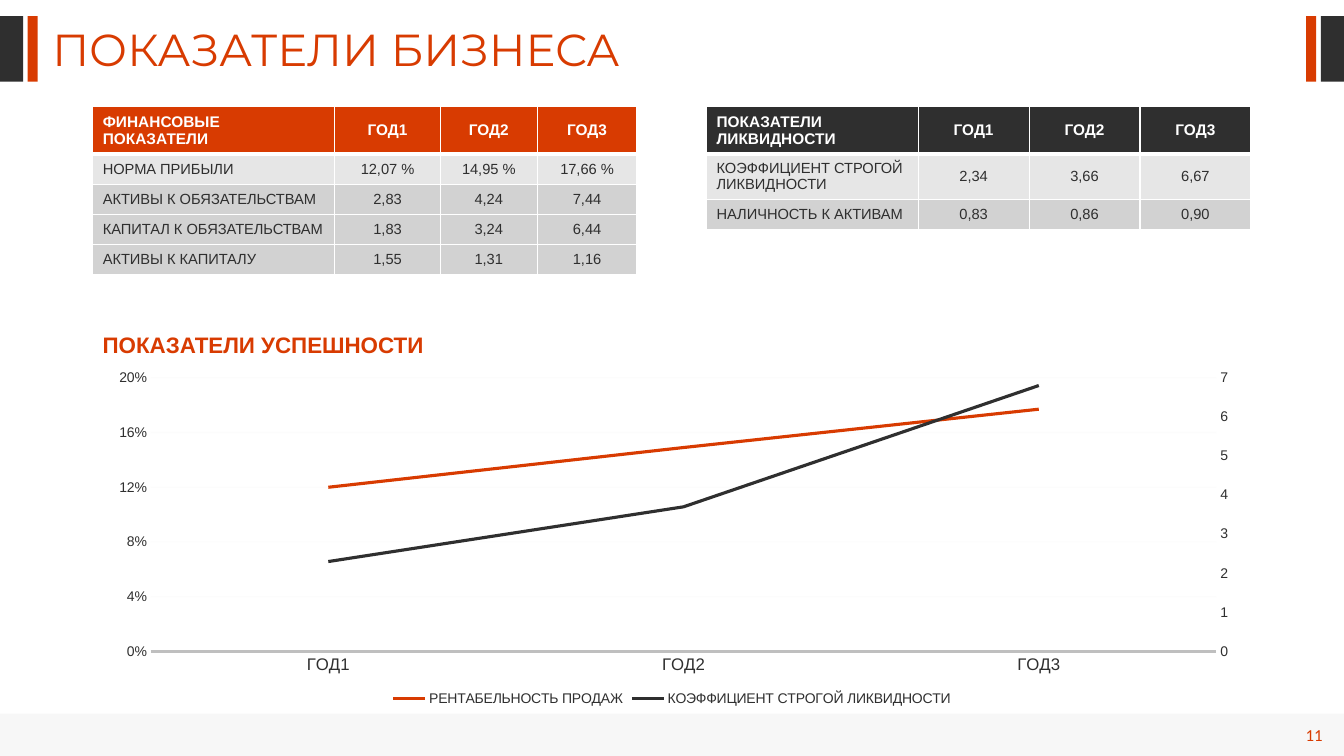
from copy import deepcopy

from lxml import etree
from pptx import Presentation
from pptx.chart.axis import CategoryAxis, ValueAxis
from pptx.chart.data import CategoryChartData
from pptx.dml.color import RGBColor
from pptx.enum.chart import XL_CHART_TYPE, XL_LEGEND_POSITION, XL_TICK_MARK
from pptx.enum.shapes import MSO_SHAPE
from pptx.enum.text import MSO_ANCHOR, PP_ALIGN
from pptx.oxml import parse_xml
from pptx.oxml.ns import nsdecls, qn
from pptx.util import Pt

ORANGE = RGBColor(0xD8, 0x3B, 0x01)
DARK = RGBColor(0x2F, 0x2F, 0x2F)
WHITE = RGBColor(0xFF, 0xFF, 0xFF)
LIGHT = RGBColor(0xE6, 0xE6, 0xE6)
MIDDLE = RGBColor(0xD2, 0xD2, 0xD2)
AXIS_GRAY = RGBColor(0xBF, 0xBF, 0xBF)
RECTANGLE = MSO_SHAPE.RECTANGLE
LINE_CHART = XL_CHART_TYPE.LINE
LEGEND_BOTTOM = XL_LEGEND_POSITION.BOTTOM
NO_TICKS = XL_TICK_MARK.NONE
MIDDLE_ANCHOR = MSO_ANCHOR.MIDDLE
LEFT, CENTER, RIGHT = PP_ALIGN.LEFT, PP_ALIGN.CENTER, PP_ALIGN.RIGHT

SLIDE_WIDTH, SLIDE_HEIGHT = 960, 540
MARGIN = 66.24
YEARS = ["ГОД1", "ГОД2", "ГОД3"]
FINANCE_ROWS = [
    ["ФИНАНСОВЫЕ ПОКАЗАТЕЛИ", *YEARS],
    ["НОРМА ПРИБЫЛИ", "12,07 %", "14,95 %", "17,66 %"],
    ["АКТИВЫ К ОБЯЗАТЕЛЬСТВАМ", "2,83", "4,24", "7,44"],
    ["КАПИТАЛ К ОБЯЗАТЕЛЬСТВАМ", "1,83", "3,24", "6,44"],
    ["АКТИВЫ К КАПИТАЛУ", "1,55", "1,31", "1,16"],
]
LIQUIDITY_ROWS = [
    ["ПОКАЗАТЕЛИ ЛИКВИДНОСТИ", *YEARS],
    ["КОЭФФИЦИЕНТ СТРОГОЙ ЛИКВИДНОСТИ", "2,34", "3,66", "6,67"],
    ["НАЛИЧНОСТЬ К АКТИВАМ", "0,83", "0,86", "0,90"],
]


def style_font(font, size, color, name="Arial", bold=False):
    font.size, font.name, font.bold = Pt(size), name, bold
    font.color.rgb = color


def add_opacity(element, percent):
    for color in element.iter(qn("a:srgbClr")):
        etree.SubElement(color, qn("a:alpha")).set("val", str(percent * 1000))


def add_bar(slide, left, top, width, height, color):
    bar = slide.shapes.add_shape(RECTANGLE, Pt(left), Pt(top), Pt(width), Pt(height))
    bar.shadow.inherit = False
    bar.fill.solid()
    bar.fill.fore_color.rgb = color
    bar.line.fill.background()
    return bar


def add_label(slide, left, top, width, height, text, size, name="Arial",
              bold=False, align=LEFT, wrap=True):
    label = slide.shapes.add_textbox(Pt(left), Pt(top), Pt(width), Pt(height))
    frame = label.text_frame
    frame.word_wrap = wrap
    frame.text = text
    paragraph = frame.paragraphs[0]
    paragraph.alignment = align
    style_font(paragraph.runs[0].font, size, ORANGE, name, bold)
    return frame


def add_header(slide, left, top, width, height):
    outer, gap, inner = 16.5, 3.3, 7.2
    right = left + width
    for bar_left, bar_width, color in [
        (left, outer, DARK),
        (left + outer + gap, inner, ORANGE),
        (right - outer - gap - inner, inner, ORANGE),
        (right - outer, outer, DARK),
    ]:
        add_bar(slide, bar_left, top, bar_width, height, color)
    title = add_label(slide, left + 30.24, top + 7.9, 480, 38.9,
                      "ПОКАЗАТЕЛИ БИЗНЕСА", 32, "Montserrat")
    title.paragraphs[0].line_spacing = 0.8


def add_footer(slide, left, top, width, height):
    footer = add_bar(slide, left, top, width, height, LIGHT)
    add_opacity(footer.fill._xPr, 30)
    number = add_label(slide, left + width - 70.8, top + 4.3, 62.6, 21.6,
                       "11", 12, "Calibri", align=RIGHT)
    number.vertical_anchor = MIDDLE_ANCHOR


def set_borders(cell, bottom_width):
    properties = cell._tc.get_or_add_tcPr()
    for side, width in zip("LRTB", (1, 1, 1, bottom_width)):
        properties.append(parse_xml(
            f'<a:ln{side} {nsdecls("a")} w="{Pt(width)}"><a:solidFill>'
            f'<a:srgbClr val="{WHITE}"/></a:solidFill></a:ln{side}>'))


def add_indicators(slide, left, top, column_widths, rows, header_color):
    row_heights = [28.8] + [21.6] * (len(rows) - 1)
    table = slide.shapes.add_table(
        len(rows), len(column_widths), Pt(left), Pt(top),
        Pt(sum(column_widths)), Pt(sum(row_heights))).table
    table.horz_banding = False
    for column, width in zip(table.columns, column_widths):
        column.width = Pt(width)
    for r, values in enumerate(rows):
        table.rows[r].height = Pt(row_heights[r])
        is_header = r == 0
        fill_color = header_color if is_header else LIGHT if r == 1 else MIDDLE
        for c, value in enumerate(values):
            cell = table.cell(r, c)
            set_borders(cell, 3 if is_header else 1)
            cell.fill.solid()
            cell.fill.fore_color.rgb = fill_color
            cell.vertical_anchor = MIDDLE_ANCHOR
            cell.text_frame.text = value
            paragraph = cell.text_frame.paragraphs[0]
            paragraph.alignment = CENTER if c else LEFT
            style_font(paragraph.runs[0].font, 11 if is_header else 10.5,
                       WHITE if is_header else DARK, bold=is_header)


def scale_axis(axis, maximum, step, number_format):
    axis.minimum_scale, axis.maximum_scale, axis.major_unit = 0, maximum, step
    axis.tick_labels.number_format = number_format
    axis.tick_labels.number_format_is_linked = False


def move_to_right_axis(chart):
    plot_area = chart._chartSpace.find(".//" + qn("c:plotArea"))
    profit_plot = plot_area.find(qn("c:lineChart"))
    category_axis = plot_area.find(qn("c:catAx"))
    value_axis = plot_area.find(qn("c:valAx"))
    liquidity_plot = deepcopy(profit_plot)
    right_categories, right_values = deepcopy(category_axis), deepcopy(value_axis)
    profit_plot.remove(profit_plot.findall(qn("c:ser"))[1])
    liquidity_plot.remove(liquidity_plot.find(qn("c:ser")))
    profit_plot.addnext(liquidity_plot)
    value_axis.addnext(right_values)
    right_values.addnext(right_categories)

    category_id, value_id = "50010", "50020"
    for axis_id, new_id in zip(liquidity_plot.findall(qn("c:axId")), (category_id, value_id)):
        axis_id.set("val", new_id)
    for axis, own_id, cross_id in [(right_categories, category_id, value_id),
                                   (right_values, value_id, category_id)]:
        axis.find(qn("c:axId")).set("val", own_id)
        axis.find(qn("c:crossAx")).set("val", cross_id)
    right_values.find(qn("c:axPos")).set("val", "r")
    right_values.find(qn("c:crosses")).set("val", "max")
    CategoryAxis(right_categories).visible = False
    right_axis = ValueAxis(right_values)
    right_axis.has_major_gridlines = False
    scale_axis(right_axis, 7, 1, "#,##0")
    return plot_area


def place_plot(plot_area, x, y, width, height):
    layout = plot_area.find(qn("c:layout"))
    if layout is not None:
        plot_area.remove(layout)
    plot_area.insert(0, parse_xml(
        f'<c:layout {nsdecls("c")}><c:manualLayout><c:layoutTarget val="inner"/>'
        f'<c:xMode val="edge"/><c:yMode val="edge"/><c:x val="{x}"/><c:y val="{y}"/>'
        f'<c:w val="{width}"/><c:h val="{height}"/></c:manualLayout></c:layout>'))


def add_success(slide, left, top, width, height):
    heading_height = 26.64
    add_label(slide, left, top, 246.2, heading_height, "ПОКАЗАТЕЛИ УСПЕШНОСТИ",
              16, bold=True, wrap=False)
    data = CategoryChartData()
    data.categories = YEARS
    data.add_series("РЕНТАБЕЛЬНОСТЬ ПРОДАЖ", [0.12, 0.149, 0.177], "0%")
    data.add_series("КОЭФФИЦИЕНТ СТРОГОЙ ЛИКВИДНОСТИ", [2.3, 3.7, 6.8], "0.0")
    chart = slide.shapes.add_chart(
        LINE_CHART, Pt(left), Pt(top + heading_height), Pt(width),
        Pt(height - heading_height), data).chart
    chart.has_title = False
    style_font(chart.font, 10, DARK)
    chart.has_legend = True
    chart.legend.position = LEGEND_BOTTOM
    chart.legend.include_in_layout = False
    style_font(chart.legend.font, 10, DARK)
    chart.plots[0].vary_by_categories = False
    for series, color in zip(chart.plots[0].series, (ORANGE, DARK)):
        series.smooth = False
        series.format.line.width = Pt(2.25)
        series.format.line.color.rgb = color
    years, profit = chart.category_axis, chart.value_axis
    for axis, size in ((years, 12), (profit, 10)):
        axis.major_tick_mark = axis.minor_tick_mark = NO_TICKS
        style_font(axis.tick_labels.font, size, DARK)
    years.format.line.width = Pt(1.5)
    years.format.line.color.rgb = AXIS_GRAY
    profit.format.line.fill.background()
    scale_axis(profit, 0.2, 0.04, "0%")
    grid_line = profit.major_gridlines.format.line
    grid_line.width = Pt(0.75)
    grid_line.color.rgb = LIGHT
    add_opacity(profit._element.find(qn("c:majorGridlines")), 10)
    place_plot(move_to_right_axis(chart), 0.05, 0.04, 0.92, 0.79)


def build_slide(presentation):
    slide = presentation.slides.add_slide(presentation.slide_layouts[6])
    add_footer(slide, 0, 509.8, SLIDE_WIDTH, 30.2)
    add_header(slide, 0, 11.5, SLIDE_WIDTH, 46.8)
    add_indicators(slide, MARGIN, 76.3, [172.8, 75.6, 69.1, 71.3], FINANCE_ROWS, ORANGE)
    add_success(slide, MARGIN, 233.3, SLIDE_WIDTH - 2 * MARGIN, 274.3)
    add_indicators(slide, 504.7, 76.3, [151.2] + [79.2] * 3, LIQUIDITY_ROWS, DARK)


def main():
    presentation = Presentation()
    presentation.slide_width, presentation.slide_height = Pt(SLIDE_WIDTH), Pt(SLIDE_HEIGHT)
    build_slide(presentation)
    presentation.save("out.pptx")


if __name__ == "__main__":
    main()
